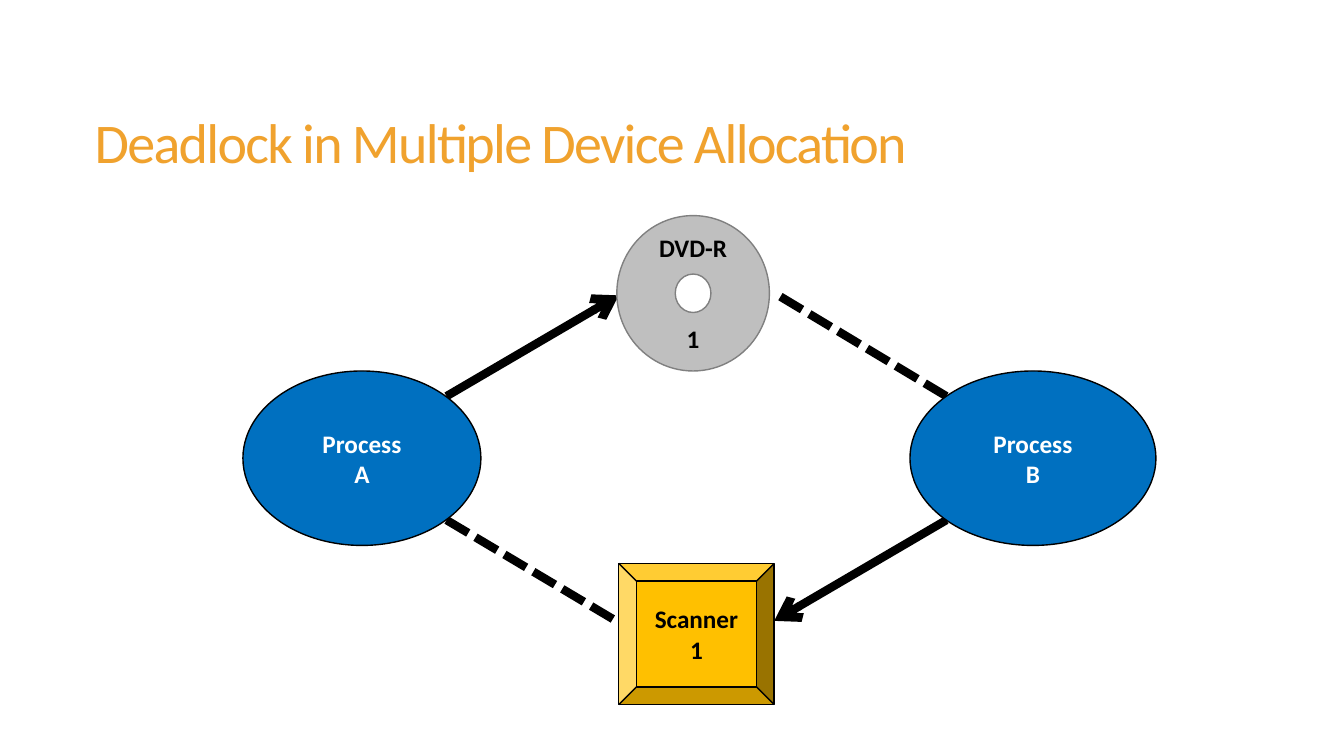
from pptx import Presentation
from pptx.dml.color import RGBColor
from pptx.enum.dml import MSO_LINE
from pptx.enum.shapes import MSO_CONNECTOR, MSO_SHAPE
from pptx.enum.text import MSO_ANCHOR, PP_ALIGN
from pptx.oxml.ns import qn
from pptx.util import Pt
from lxml import etree

OVAL, DONUT, BEVEL = MSO_SHAPE.OVAL, MSO_SHAPE.DONUT, MSO_SHAPE.BEVEL
STRAIGHT, DASH = MSO_CONNECTOR.STRAIGHT, MSO_LINE.SQUARE_DOT
MIDDLE, CENTER = MSO_ANCHOR.MIDDLE, PP_ALIGN.CENTER


def color(code):
    return RGBColor.from_string(code)


def style(font, code, **values):
    font.color.rgb = color(code)
    for key, value in values.items():
        setattr(font, key, value)


deck = Presentation()
deck.slide_width, deck.slide_height = Pt(960), Pt(540)
slide = deck.slides.add_slide(deck.slide_layouts[6])
shapes = slide.shapes

title = shapes.add_textbox(Pt(51.8), Pt(39.6), Pt(848.2), Pt(130.3))
frame = title.text_frame
frame.word_wrap = True
frame.vertical_anchor = MIDDLE
para = frame.paragraphs[0]
para.line_spacing = 0.85
props = para._p.get_or_add_pPr()
props.set("marL", str(Pt(49)))
props.set("indent", str(Pt(-40.3)))
run = para.add_run()
run.text = "Deadlock in Multiple Device Allocation"
style(run.font, "F0A22E", name="Calibri", size=Pt(40))
run.font._element.set("spc", "-120")

links = [
    (676, 371.5, 553, 443.5, False),
    (676, 283, 556, 211, True),
    (319, 283, 442, 211, False),
    (319, 371.5, 440, 443.5, True),
]
for x1, y1, x2, y2, dashed in links:
    link = shapes.add_connector(STRAIGHT, Pt(x1), Pt(y1), Pt(x2), Pt(y2))
    link.line.width = Pt(6)
    link.line.color.rgb = color("000000")
    if dashed:
        link.line.dash_style = DASH
    else:
        etree.SubElement(link.line._get_or_add_ln(), qn("a:tailEnd"), type="arrow")
    etree.SubElement(link._element.spPr, qn("a:effectLst"))

nodes = [
    (OVAL, 650, 265, 175.7, 124.6, "0070C0", "000000", "FFFFFF", ["Process", "B"], 0),
    (OVAL, 173.5, 265, 170, 124.6, "0070C0", "000000", "FFFFFF", ["Process", "A"], 0),
    (DONUT, 440.6, 154, 109, 111, "BFBFBF", "808080", "000000", ["DVD-R", "1"], 43.5),
    (BEVEL, 442, 402.5, 111, 100.8, "FFC000", "000000", "000000", ["Scanner 1"], 0),
]
for kind, x, y, w, h, fill, edge, ink, words, gap in nodes:
    node = shapes.add_shape(kind, Pt(x), Pt(y), Pt(w), Pt(h))
    node.shadow.inherit = False
    node.fill.solid()
    node.fill.fore_color.rgb = color(fill)
    node.line.color.rgb = color(edge)
    node.line.width = Pt(1)
    if kind == DONUT:
        node.adjustments[0] = 0.383
    frame = node.text_frame
    frame.word_wrap = True
    frame.vertical_anchor = MIDDLE
    frame.text = "\n".join(words)
    for i, para in enumerate(frame.paragraphs):
        para.alignment = CENTER
        if i and gap:
            para.space_before = Pt(gap)
        style(para.runs[0].font, ink, name="Calibri", size=Pt(18), bold=True)

deck.save("out.pptx")
